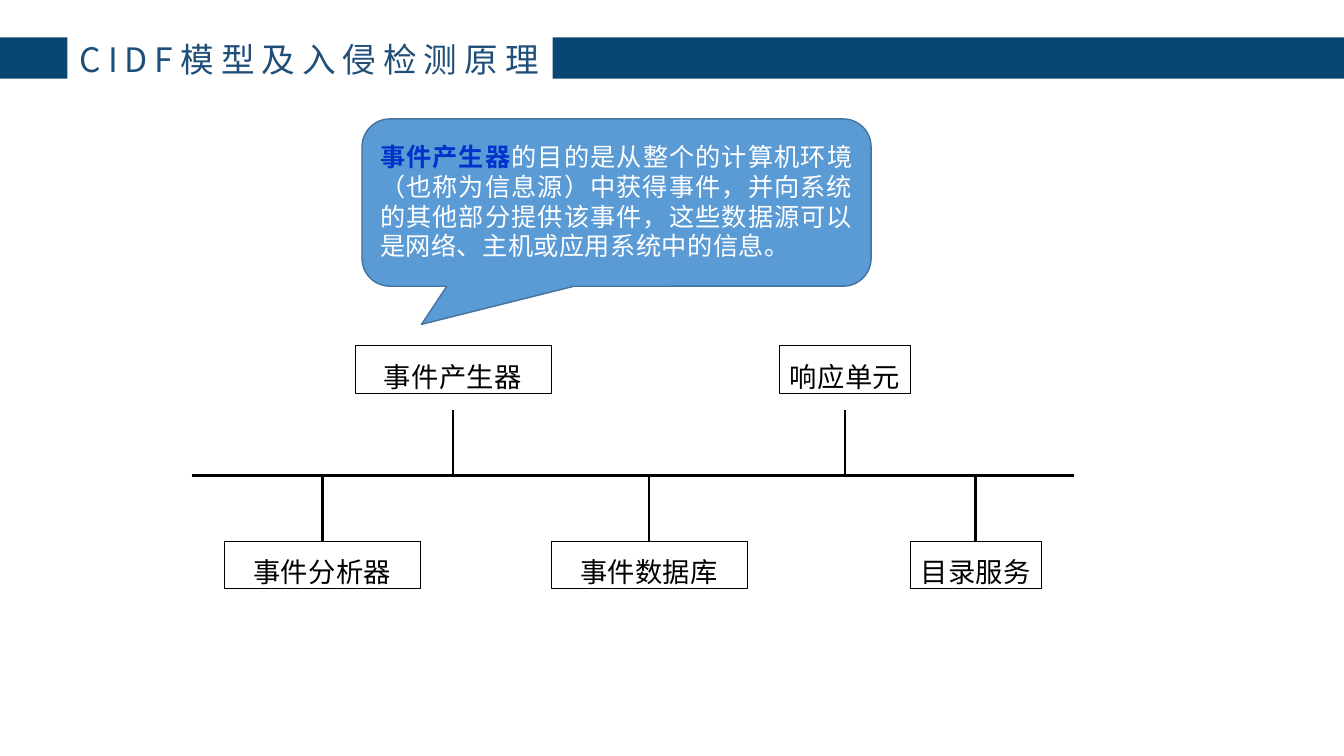
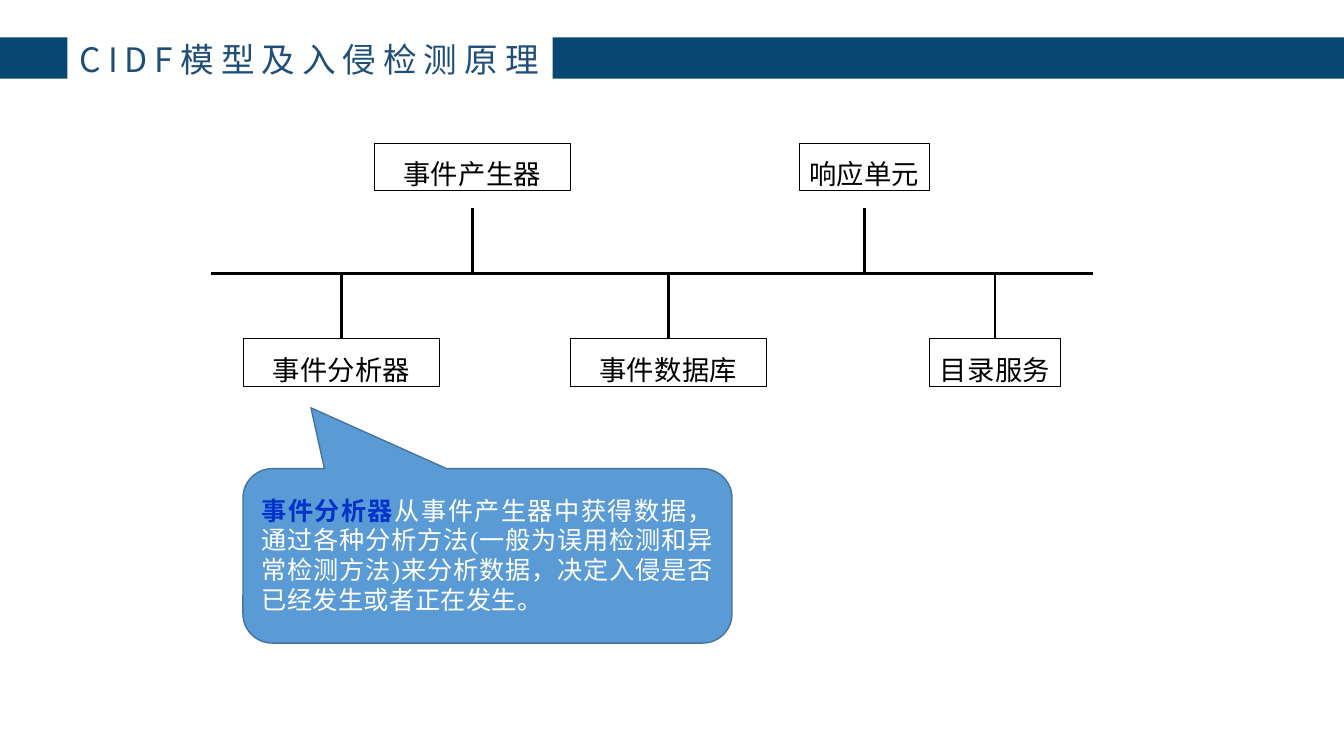
"""Build two slides on the CIDF model, each explaining one component."""
import pptx
import pptx.util
import pptx.dml.color
import pptx.enum.shapes
import pptx.enum.text
import pptx.oxml.ns
import lxml.etree

Inches = pptx.util.Inches
Pt = pptx.util.Pt
SHAPE = pptx.enum.shapes.MSO_SHAPE
ALIGN = pptx.enum.text.PP_ALIGN
ANCHOR = pptx.enum.text.MSO_ANCHOR
qn = pptx.oxml.ns.qn

COLORS = {
    "band": "084772",
    "title": "1F4E79",
    "black": "000000",
    "white": "FFFFFF",
    "callout": "5B9BD5",
    "callout_line": "43739E",
    "term": "0033CC",
}
FONT = "Noto Sans CJK SC"
BRACKET_FONT = "Times New Roman"

TITLE = "CIDF模型及入侵检测原理"
BANDS = [(0, 0.67), (5.48, 7.85)]

BUS_WIDTH = 8.75
STEP = BUS_WIDTH / 13.5
BOX_HEIGHT = 0.47
UPPER_TOP = -1.29
STEM = 0.65
UPPER_UNITS = [("事件产生器", 4, 3), ("响应单元", 10, 2)]
LOWER_UNITS = [("事件分析器", 2, 3), ("事件数据库", 7, 3), ("目录服务", 12, 2)]

SLIDES = [
    {
        "bus": (1.9, 4.72),
        "callout": (3.59, 1.18, 5.05, 1.66),
        "pointer": (-0.383, 0.728),
        "term": "事件产生器",
        "body": ["的目的是从整个的计算机环境（也称为信息源）中获得事件，并向系统的其他部分提供该事件，"
                 "这些数据源可以是网络、主机或应用系统中的信息。"],
    },
    {
        "bus": (2.09, 2.71),
        "callout": (2.41, 4.65, 4.85, 1.73),
        "pointer": (-0.361, -0.849),
        "term": "事件分析器",
        "body": ["从事件产生器中获得数据，通过各种分析方法", "(", "一般为误用检测和异常检测方法", ")",
                 "来分析数据，决定入侵是否已经发生或者正在发生。"],
    },
]


def rgb(name):
    return pptx.dml.color.RGBColor.from_string(COLORS[name])


def style_paragraph(para, size, color, spacing, align):
    para.alignment = align
    para.font.size = Pt(size)
    para.font.name = FONT
    para.font.color.rgb = rgb(color)
    props = para._p.get_or_add_pPr().get_or_add_defRPr()
    props.set("spc", str(round(spacing * 100)))
    lxml.etree.SubElement(props, qn("a:ea")).set("typeface", FONT)


def set_frame(shape, anchor, top=0):
    frame = shape.text_frame
    frame.word_wrap = True
    frame.vertical_anchor = anchor
    frame.margin_left = frame.margin_right = frame.margin_bottom = 0
    frame.margin_top = Inches(top)
    return frame.paragraphs[0]


def add_shape(page, kind, bounds, fill=None, line=None, width=1):
    shape = page.shapes.add_shape(kind, *map(Inches, bounds))
    shape.shadow.inherit = False
    if fill:
        shape.fill.solid()
        shape.fill.fore_color.rgb = rgb(fill)
    else:
        shape.fill.background()
    if line:
        shape.line.color.rgb = rgb(line)
        shape.line.width = Pt(width)
    else:
        shape.line.fill.background()
    return shape


def add_line(page, *ends):
    kind = pptx.enum.shapes.MSO_CONNECTOR.STRAIGHT
    line = page.shapes.add_connector(kind, *map(Inches, ends))
    line.line.color.rgb = rgb("black")
    line.line.width = Pt(2)
    lxml.etree.SubElement(line._element.spPr, qn("a:effectLst"))
    return line


def add_header(page):
    box = page.shapes.add_textbox(*map(Inches, (0.79, 0.37, 5.32, 0.42)))
    para = set_frame(box, ANCHOR.MIDDLE, 0.01)
    para.text = TITLE
    style_paragraph(para, 24, "title", 5, ALIGN.LEFT)
    for left, width in BANDS:
        add_shape(page, SHAPE.RECTANGLE, (left, 0.37, width, 0.41), "band")


def add_unit(page, label, center, top, steps):
    width = steps * STEP
    bounds = (center - width / 2, top, width, BOX_HEIGHT)
    box = add_shape(page, SHAPE.RECTANGLE, bounds, line="black", width=0.39)
    para = set_frame(box, ANCHOR.TOP, 0.14)
    para.text = label
    style_paragraph(para, 19.5, "black", 0.2, ALIGN.CENTER)
    return box


def add_diagram(page, left, bus):
    add_line(page, left, bus, left + BUS_WIDTH, bus)
    for label, position, steps in UPPER_UNITS:
        center = left + position * STEP
        add_unit(page, label, center, bus + UPPER_TOP, steps)
        add_line(page, center, bus - STEM, center, bus)
    for label, position, steps in LOWER_UNITS:
        center = left + position * STEP
        box = add_unit(page, label, center, bus + STEM, steps)
        stem = add_line(page, center, bus + STEM, center, bus)
        stem.begin_connect(box, 0)


def add_callout(page, content):
    callout = add_shape(page, SHAPE.ROUNDED_RECTANGULAR_CALLOUT, content["callout"],
                        "callout", "callout_line")
    for index, value in enumerate((*content["pointer"], 0.167)):
        callout.adjustments[index] = value
    frame = callout.text_frame
    frame.word_wrap = True
    frame.vertical_anchor = ANCHOR.MIDDLE
    para = frame.paragraphs[0]
    para.line_spacing = 0.98
    style_paragraph(para, 18, "white", 0.3, ALIGN.JUSTIFY)
    term = para.add_run()
    term.text = content["term"]
    term.font.bold = True
    term.font.color.rgb = rgb("term")
    for text in content["body"]:
        span = para.add_run()
        span.text = text
        if text in ("(", ")"):
            span.font.name = BRACKET_FONT


def main():
    deck = pptx.Presentation()
    deck.slide_width = Inches(13.33)
    deck.slide_height = Inches(7.5)
    for content in SLIDES:
        page = deck.slides.add_slide(deck.slide_layouts[6])
        add_header(page)
        add_diagram(page, *content["bus"])
        add_callout(page, content)
    deck.save("out.pptx")


if __name__ == "__main__":
    main()
